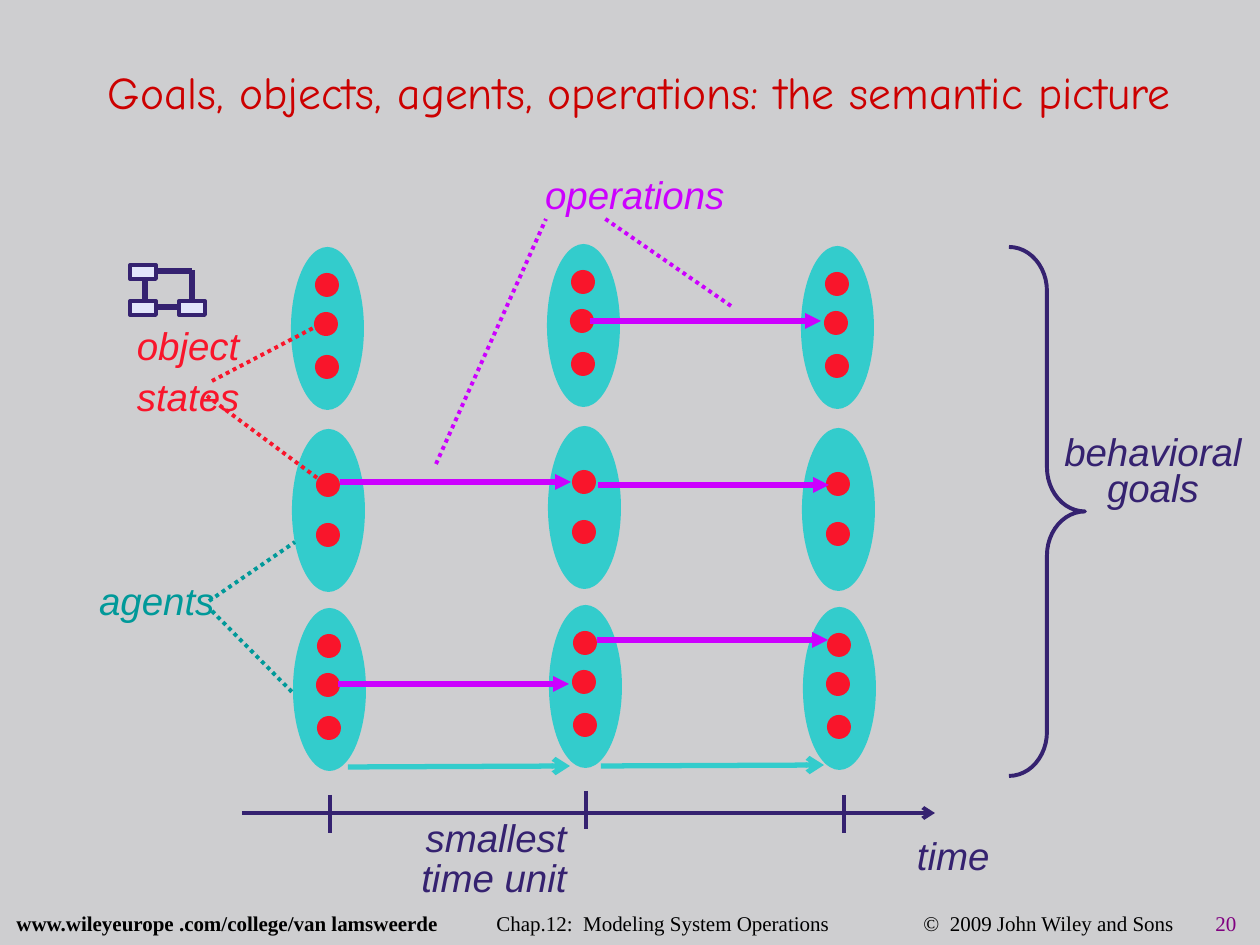
"""Builds the slide on goals, objects, agents and operations over time."""
from dataclasses import dataclass

from lxml.etree import SubElement
from pptx import Presentation
from pptx.dml.color import RGBColor
from pptx.enum.dml import MSO_LINE
from pptx.enum.shapes import MSO_CONNECTOR, MSO_SHAPE
from pptx.enum.text import MSO_ANCHOR, MSO_AUTO_SIZE, PP_ALIGN
from pptx.oxml.ns import qn
from pptx.util import Pt

EMU_PER_PX = 914400 / 126


def px(length):
    return round(length * EMU_PER_PX)


@dataclass(frozen=True)
class Theme:
    background: str = "CECED0"
    title: str = "CC0000"
    state: str = "F9152B"
    agent: str = "33CCCC"
    agent_label: str = "009999"
    operation: str = "CC00FF"
    ink: str = "352270"
    class_fill: str = "E2E5FA"
    footer: str = "000000"
    page_number: str = "800080"
    title_font: str = "Comic Neue"
    label_font: str = "Arial"
    footer_font: str = "Times New Roman"
    title_size: int = 26
    label_size: int = 22
    footer_size: int = 12
    thin: float = 2.25
    thick: float = 3


class SlideBuilder:
    def __init__(self, slide, theme):
        self.slide = slide
        self.theme = theme
        self.shapes = slide.shapes
        slide.background.fill.solid()
        slide.background.fill.fore_color.rgb = RGBColor.from_string(theme.background)

    def start_group(self):
        self.shapes = self.slide.shapes.add_group_shape().shapes

    def end_group(self):
        self.shapes = self.slide.shapes

    def shape(self, kind, box, fill=None, line=None):
        shape = self.shapes.add_shape(kind, *map(px, box))
        shape.shadow.inherit = False
        if fill:
            shape.fill.solid()
            shape.fill.fore_color.rgb = RGBColor.from_string(fill)
        else:
            shape.fill.background()
        if line:
            shape.line.color.rgb = RGBColor.from_string(line)
            shape.line.width = Pt(self.theme.thin)
        else:
            shape.line.fill.background()
        return shape

    def line(self, ends, color, width, head=None, dotted=False):
        connector = self.shapes.add_connector(MSO_CONNECTOR.STRAIGHT, *map(px, ends))
        connector.line.color.rgb = RGBColor.from_string(color)
        connector.line.width = Pt(width)
        if dotted:
            connector.line.dash_style = MSO_LINE.ROUND_DOT
        properties = connector._element.spPr
        if head:
            SubElement(properties.find(qn("a:ln")), qn("a:tailEnd"), type=head)
        SubElement(properties, qn("a:effectLst"))

    def run(self, paragraph, text, font, size, color, bold=False, italic=False):
        run = paragraph.add_run()
        run.text = text
        run.font.name = font
        run.font.size = Pt(size)
        run.font.bold = bold
        run.font.italic = italic
        run.font.color.rgb = RGBColor.from_string(color)

    def place(self, shape, box, anchor=MSO_ANCHOR.MIDDLE):
        shape.left, shape.top, shape.width, shape.height = map(px, box)
        frame = shape.text_frame
        frame.word_wrap = True
        frame.auto_size = MSO_AUTO_SIZE.NONE
        frame.vertical_anchor = anchor
        return frame

    def title(self, text, box):
        paragraph = self.place(self.slide.shapes.title, box).paragraphs[0]
        paragraph.alignment = PP_ALIGN.CENTER
        paragraph.line_spacing = 1.2
        self.run(paragraph, text, self.theme.title_font, self.theme.title_size,
                 self.theme.title)

    def label(self, lines, box, color, align=PP_ALIGN.RIGHT, shape=None):
        shape = shape or self.shapes.add_textbox(*map(px, box))
        frame = self.place(shape, box)
        for index, (text, spacing, before) in enumerate(lines):
            paragraph = frame.add_paragraph() if index else frame.paragraphs[0]
            properties = paragraph._p.get_or_add_pPr()
            properties.set("marL", str(px(48)))
            properties.set("indent", str(px(-48)))
            SubElement(properties, qn("a:buNone"))
            paragraph.alignment = align
            paragraph.line_spacing = spacing
            paragraph.space_before = Pt(before)
            self.run(paragraph, text, self.theme.label_font, self.theme.label_size,
                     color, italic=True)

    def footer(self, parts, tabs, box):
        frame = self.place(self.shapes.add_textbox(*map(px, box)), box, MSO_ANCHOR.TOP)
        paragraph = frame.paragraphs[0]
        tab_list = SubElement(paragraph._p.get_or_add_pPr(), qn("a:tabLst"))
        for tab in tabs:
            SubElement(tab_list, qn("a:tab"), pos=str(px(tab)), algn="l")
        paragraph.line_spacing = 0.7
        for index, (text, color, bold) in enumerate(parts):
            self.run(paragraph, "\t" + text if index else text, self.theme.footer_font,
                     self.theme.footer_size, color, bold=bold)

    def agent(self, left, top, dots):
        self.start_group()
        self.shape(MSO_SHAPE.OVAL, (left, top, 73, 163), self.theme.agent)
        for x, y in dots:
            self.shape(MSO_SHAPE.OVAL, (left + x, top + y, 24, 24), self.theme.state)
        self.end_group()

    def object_model(self):
        self.start_group()
        for left, top in ((130, 265), (179, 301), (130, 301)):
            self.shape(MSO_SHAPE.RECTANGLE, (left, top, 26, 14),
                       self.theme.class_fill, self.theme.ink)
        for ends in ((155, 307, 179, 307), (192, 300, 192, 270),
                     (156, 271, 192, 271), (145, 301, 145, 278)):
            self.line(ends, self.theme.ink, self.theme.thick)
        self.end_group()


def main():
    theme = Theme()
    presentation = Presentation()
    presentation.slide_width, presentation.slide_height = px(1260), px(945)
    slide = presentation.slides.add_slide(presentation.slide_layouts[1])
    builder = SlideBuilder(slide, theme)

    builder.footer((("www.wileyeurope .com/college/van lamsweerde", theme.footer, True),
                    ("Chap.12:  Modeling System Operations", theme.footer, False),
                    ("©  2009 John Wiley and Sons", theme.footer, False),
                    ("20", theme.page_number, False)),
                   (480, 907, 1199), (4, 911, 1256, 30))
    builder.title("Goals, objects, agents, operations: the semantic picture",
                  (37, 33, 1206, 105))
    builder.label([("object states", 1.1, 0)], (43, 329, 209, 78), theme.state,
                  shape=slide.placeholders[1])

    three_states = ((24, 26), (23, 65), (24, 108))
    two_states = ((24, 44), (24, 94))
    rows = ((0, 0, three_states), (1, 182, two_states), (2, 361, three_states))
    for left, top in ((291, 247), (547, 244), (801, 246)):
        for right_shift, down_shift, dots in rows:
            builder.agent(left + right_shift, top + down_shift, dots)

    for left, y in ((340, 482), (338, 684), (590, 321), (597, 640), (598, 485)):
        builder.line((left, y, left + 231, y), theme.operation, theme.thick, "triangle")
    for ends in ((348, 767, 570, 766), (601, 766, 824, 765)):
        builder.line(ends, theme.agent, theme.thick, "arrow")

    pointers = ((theme.operation, ((436, 464, 546, 219), (731, 306, 604, 218))),
                (theme.state, ((207, 396, 320, 480), (212, 381, 319, 325))),
                (theme.agent_label, ((212, 611, 294, 694), (209, 601, 295, 542))))
    for color, lines in pointers:
        for ends in lines:
            builder.line(ends, color, theme.thin, dotted=True)

    builder.line((242, 813, 935, 813), theme.ink, theme.thin, "arrow")
    for x, top in ((330, 795), (586, 791), (844, 795)):
        builder.line((x, top, x, top + 38), theme.ink, theme.thin)

    builder.label([("agents", 1.1, 0)], (35, 556, 192, 84), theme.agent_label)
    builder.label([("operations", 1.1, 0)], (408, 150, 329, 84), theme.operation)
    builder.label([("smallest", 1.1, 0), ("time unit", 0.4, 10)],
                  (338, 811, 241, 84), theme.ink)
    builder.label([("time", 1.1, 0)], (832, 811, 170, 84), theme.ink)
    builder.label([("behavioral", 1, 0), ("goals", 0.6, 4)],
                  (1046, 426, 214, 84), theme.ink, PP_ALIGN.CENTER)

    brace = builder.shape(MSO_SHAPE.RIGHT_BRACE, (1009, 247, 76, 529), line=theme.ink)
    brace.adjustments[0] = 0.58
    brace.adjustments[1] = 0.5
    builder.object_model()
    presentation.save("out.pptx")


if __name__ == "__main__":
    main()
